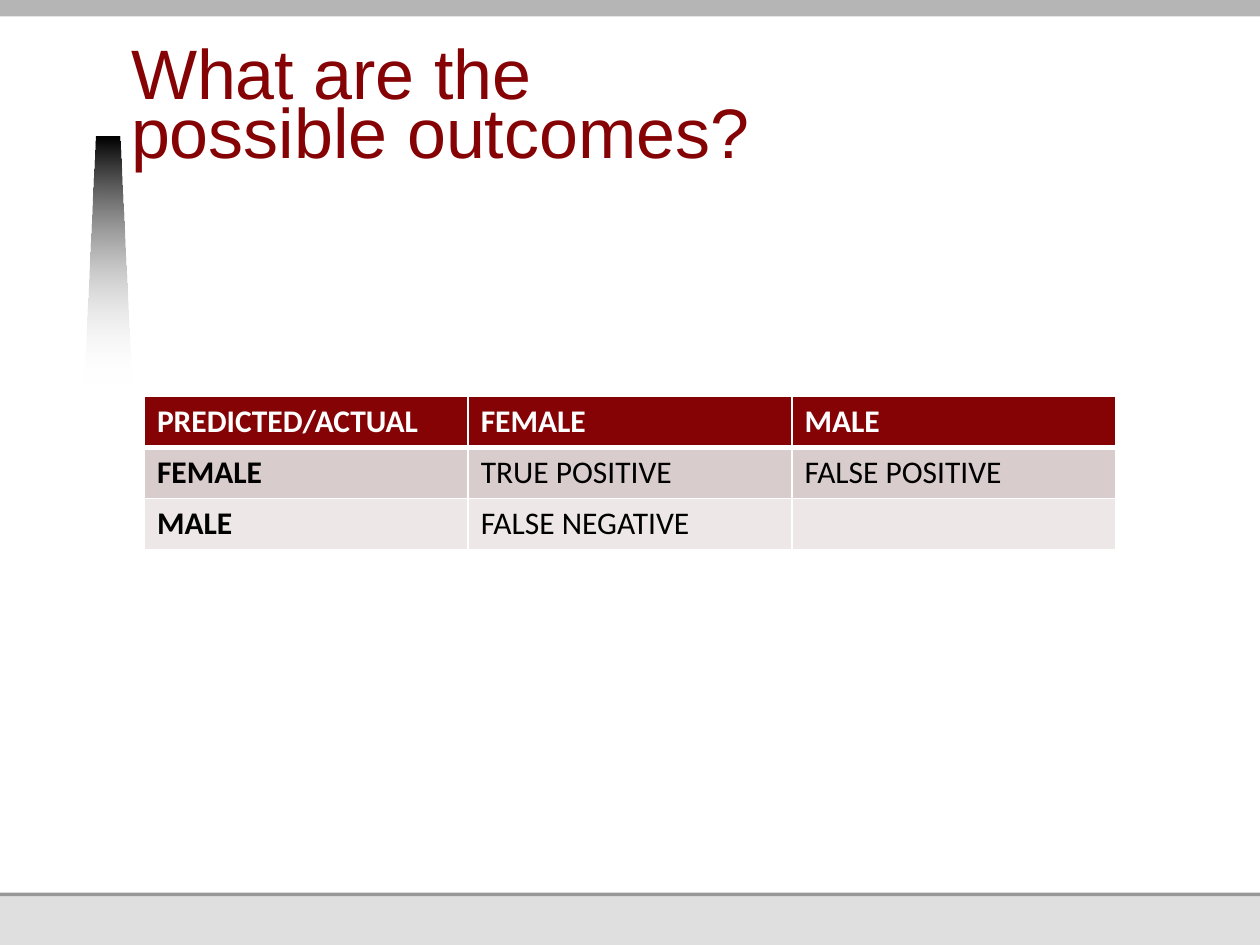
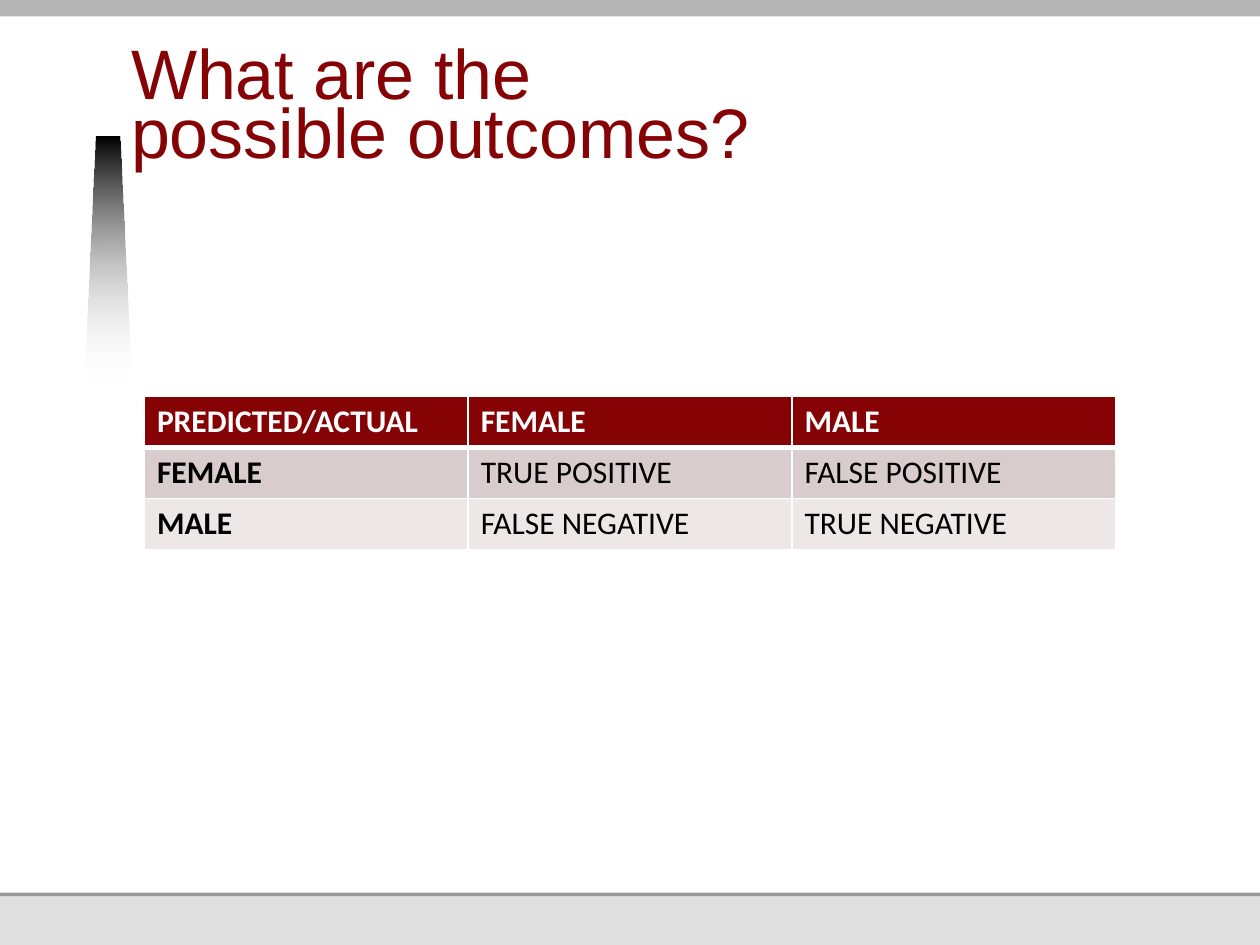
"""Build two slides on the possible outcomes of a binary prediction."""
import dataclasses

import pptx
import pptx.dml.color
import pptx.enum.shapes
import pptx.enum.text
import pptx.oxml
import pptx.oxml.ns
import pptx.util

COLS, ROWS = 100, 75
CELL = pptx.util.Inches(0.1)
MAROON, WHITE, BLACK = "850205", "FFFFFF", "000000"
ROW_FILLS = (MAROON, "D9CCCC", "EDE7E7")
TITLE_LINES = ("What are the", "possible outcomes?")
HEADER = ("PREDICTED/ACTUAL", "FEMALE", "MALE")
FEMALE_ROW = ("FEMALE", "TRUE POSITIVE", "FALSE POSITIVE")
OUTCOMES = (
    (HEADER, FEMALE_ROW, ("MALE", "FALSE NEGATIVE", "")),
    (HEADER, FEMALE_ROW, ("MALE", "FALSE NEGATIVE", "TRUE NEGATIVE")),
)


@dataclasses.dataclass(frozen=True)
class Box:
    col: float
    row: float
    cols: float
    rows: float

    def emu(self) -> tuple[int, ...]:
        return tuple(grid(n) for n in dataclasses.astuple(self))


@dataclasses.dataclass(frozen=True)
class Band:
    box: Box
    fill: str


BANDS = (
    Band(Box(0, 0, COLS, ROWS), "DFDFDF"),
    Band(Box(0, 17.8, COLS, 53.33), "989898"),
    Band(Box(0, 0, COLS, 70.84), WHITE),
    Band(Box(0, 0, COLS, 1.3), "B5B5B5"),
)
BEAM = ((6.7, 30.5), (7.6, 10.84), (9.46, 10.84), (10.4, 30.5))
TITLE_BOX = Box(10.4, 3.4, 68.7, 10.8)
TABLE_BOX = Box(11.46, 31.44, 77.1, 12.17)


def grid(n: float) -> int:
    return round(n * CELL)


def rgb(value: str) -> pptx.dml.color.RGBColor:
    return pptx.dml.color.RGBColor.from_string(value)


def add_run(p, text: str, font: str, size: int, color: str, bold: bool = False) -> None:
    r = p.add_run()
    r.text = text
    r.font.name, r.font.size, r.font.bold = font, pptx.util.Pt(size), bold
    r.font.color.rgb = rgb(color)


def add_band(slide, band: Band):
    sp = slide.shapes.add_shape(pptx.enum.shapes.MSO_SHAPE.RECTANGLE, *band.box.emu())
    sp.fill.solid()
    sp.fill.fore_color.rgb = rgb(band.fill)
    return sp


def add_beam(slide):
    start, *rest = [(grid(x), grid(y)) for x, y in BEAM]
    builder = slide.shapes.build_freeform(*start)
    builder.add_line_segments(rest, close=True)
    sp = builder.convert_to_shape()
    sp.fill.gradient()
    sp.fill.gradient_angle = 270
    for stop, color, position in zip(sp.fill.gradient_stops, (BLACK, WHITE), (0, 1)):
        stop.color.rgb = rgb(color)
        stop.position = position
    last_color = sp._element.xpath(".//a:gs/a:srgbClr")[-1]
    last_color.append(pptx.oxml.parse_xml(f'<a:alpha {pptx.oxml.ns.nsdecls("a")} val="0"/>'))
    return sp


def move_to_layout(slide, shapes: list) -> None:
    tree = slide.slide_layout.shapes._spTree
    for i, sp in enumerate(shapes):
        sp.shadow.inherit = False
        sp.line.fill.background()
        sp._element.xpath("./p:nvSpPr/p:cNvPr")[0].set("id", str(100 + i))
        tree.insert(2 + i, sp._element)


def set_title(slide) -> None:
    sp = slide.shapes.title
    sp.left, sp.top, sp.width, sp.height = TITLE_BOX.emu()
    tf = sp.text_frame
    tf.word_wrap = True
    tf.auto_size = pptx.enum.text.MSO_AUTO_SIZE.NONE
    tf.vertical_anchor = pptx.enum.text.MSO_ANCHOR.BOTTOM
    tf.margin_left = tf.margin_top = tf.margin_right = 0
    tf.margin_bottom = pptx.util.Inches(0.05)
    p = tf.paragraphs[0]
    p.alignment = pptx.enum.text.PP_ALIGN.LEFT
    p.line_spacing = pptx.util.Pt(34)
    for i, line in enumerate(TITLE_LINES):
        if i:
            p.add_line_break()
        add_run(p, line, "Arial", 40, MAROON)


def set_borders(cell, row: int) -> None:
    widths = {"L": 1, "R": 1, "T": 3 if row == 1 else 1, "B": 3 if row == 0 else 1}
    for side, width in widths.items():
        cell._tc.get_or_add_tcPr().append(pptx.oxml.parse_xml(
            f'<a:ln{side} {pptx.oxml.ns.nsdecls("a")} w="{pptx.util.Pt(width)}">'
            f'<a:solidFill><a:srgbClr val="{WHITE}"/></a:solidFill></a:ln{side}>'))


def add_outcome_table(slide, rows: tuple[tuple[str, ...], ...]) -> None:
    table = slide.shapes.add_table(len(rows), len(rows[0]), *TABLE_BOX.emu()).table
    table.horz_banding = False
    for i, texts in enumerate(rows):
        for j, text in enumerate(texts):
            cell = table.cell(i, j)
            set_borders(cell, i)
            cell.fill.solid()
            cell.fill.fore_color.rgb = rgb(ROW_FILLS[i])
            if text:
                color = BLACK if i else WHITE
                add_run(cell.text_frame.paragraphs[0], text, "Calibri", 18, color, i == 0 or j == 0)


def main() -> None:
    prs = pptx.Presentation()
    prs.slide_width, prs.slide_height = grid(COLS), grid(ROWS)
    layout = prs.slide_layouts.get_by_name("Title Only")
    slides = [prs.slides.add_slide(layout) for _ in OUTCOMES]
    backdrop = [add_band(slides[0], band) for band in BANDS]
    move_to_layout(slides[0], backdrop + [add_beam(slides[0])])
    for slide, rows in zip(slides, OUTCOMES):
        set_title(slide)
        add_outcome_table(slide, rows)
    prs.save("out.pptx")


if __name__ == "__main__":
    main()
